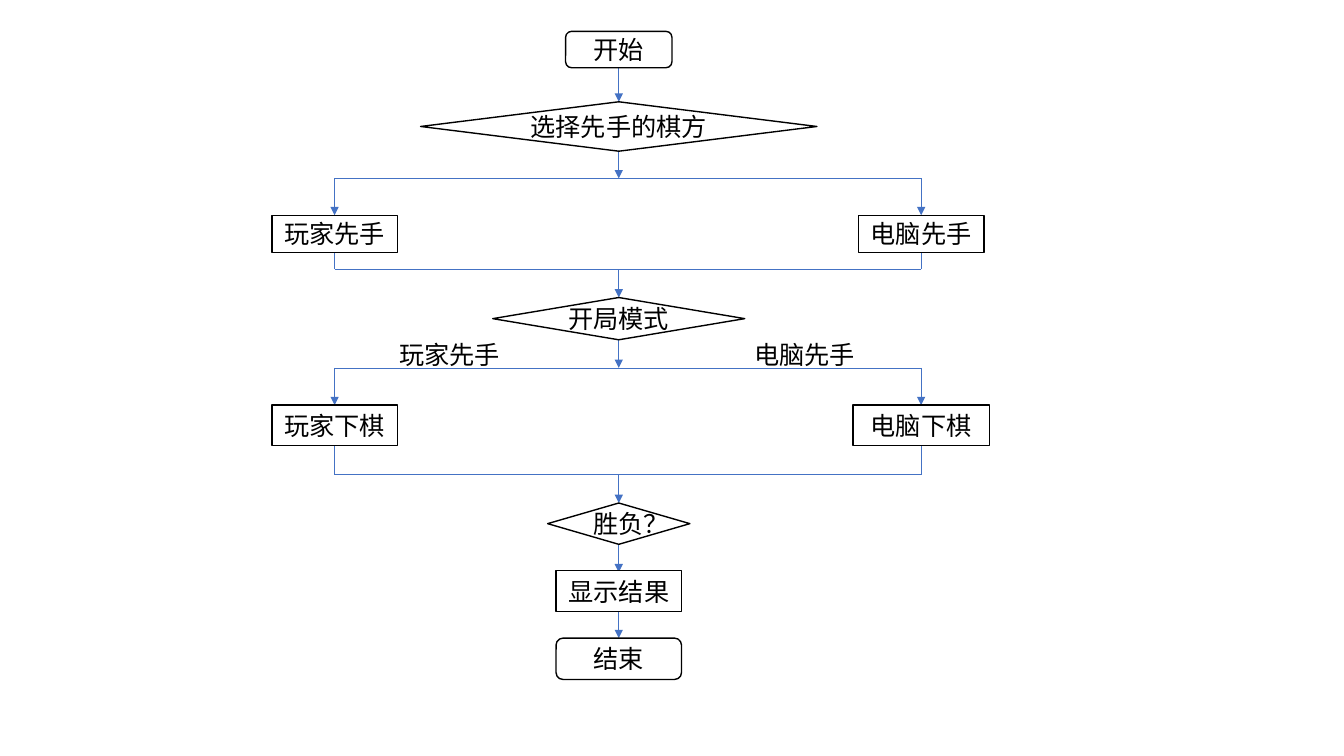
from dataclasses import dataclass

from lxml import etree
from pptx import Presentation
from pptx.dml.color import RGBColor
from pptx.enum.shapes import MSO_CONNECTOR, MSO_SHAPE
from pptx.enum.text import MSO_ANCHOR, MSO_AUTO_SIZE, PP_ALIGN
from pptx.oxml.ns import qn
from pptx.util import Pt

TERMINAL = MSO_SHAPE.ROUNDED_RECTANGLE
DECISION = MSO_SHAPE.FLOWCHART_DECISION
STEP = MSO_SHAPE.RECTANGLE
STRAIGHT = MSO_CONNECTOR.STRAIGHT
MIDDLE = MSO_ANCHOR.MIDDLE
CENTER = PP_ALIGN.CENTER
GROW = MSO_AUTO_SIZE.SHAPE_TO_FIT_TEXT


@dataclass(frozen=True)
class Theme:
    ink = RGBColor(0, 0, 0)
    paper = RGBColor(255, 255, 255)
    flow = RGBColor(0x44, 0x72, 0xC4)
    font = "Noto Sans CJK SC"
    size = Pt(18)
    outline = Pt(1)
    flow_width = Pt(0.5)


def write(frame, text):
    run = frame.paragraphs[0].add_run()
    run.text = text
    for name, value in {"name": Theme.font, "size": Theme.size}.items():
        setattr(run.font, name, value)
    run.font.color.rgb = Theme.ink
    east_asian = etree.SubElement(run.font._element, qn("a:ea"))
    east_asian.set("typeface", Theme.font)


def connect(x1, y1, x2, y2, arrow=False):
    flow = slide.shapes.add_connector(STRAIGHT, Pt(x1), Pt(y1), Pt(x2), Pt(y2))
    flow.line.color.rgb = Theme.flow
    flow.line.width = Theme.flow_width
    if arrow:
        etree.SubElement(flow.line._get_or_add_ln(), qn("a:tailEnd")).set("type", "triangle")
    etree.SubElement(flow._element.spPr, qn("a:effectLst"))


deck = Presentation()
deck.slide_width, deck.slide_height = Pt(960), Pt(540)
slide = deck.slides.add_slide(deck.slide_layouts[6])

# Columns of the chart
PLAYER, MAIN, COMPUTER = 239, 442, 658

# Arrows down the main column: start, end
for start, end in [(48.5, 72.7), (108, 127.5), (192.3, 212.5), (242.7, 262.8),
                   (339.1, 359.3), (388.8, 408.8), (437, 455.8)]:
    connect(MAIN, start, MAIN, end, arrow=True)

# Splits into both branches: bar, top of the steps
for bar, step_top in [(127.5, 153.8), (262.8, 289.4)]:
    connect(PLAYER, bar, COMPUTER, bar)
    for branch in (PLAYER, COMPUTER):
        connect(branch, bar, branch, step_top, arrow=True)

# Merges of both branches: bottom of the steps, bar
for step_bottom, bar in [(180.3, 192.3), (318.2, 339.1)]:
    connect(PLAYER, bar, COMPUTER, bar)
    for branch in (PLAYER, COMPUTER):
        connect(branch, step_bottom, branch, bar)

# Nodes: text, kind, centre, top, width, height
nodes = [
    ("开始", TERMINAL, MAIN, 22.4, 76, 26),
    ("选择先手的棋方", DECISION, MAIN, 72.7, 283, 35.3),
    ("玩家先手", STEP, PLAYER, 153.8, 89.6, 26.5),
    ("电脑先手", STEP, COMPUTER, 153.8, 89.6, 26.5),
    ("开局模式", DECISION, MAIN, 212.5, 180, 30.2),
    ("玩家下棋", STEP, PLAYER, 289.4, 89.6, 28.8),
    ("电脑下棋", STEP, COMPUTER, 289.4, 97.5, 28.8),
    ("胜负？", DECISION, MAIN, 359.3, 101.6, 29.5),
    ("显示结果", STEP, MAIN, 407.5, 89.6, 29.5),
    ("结束", TERMINAL, MAIN, 455.8, 89.6, 29.5),
]
for text, kind, centre, top, width, height in nodes:
    node = slide.shapes.add_shape(kind, Pt(centre - width / 2), Pt(top), Pt(width), Pt(height))
    node.shadow.inherit = False
    node.fill.solid()
    node.fill.fore_color.rgb = Theme.paper
    node.line.color.rgb = Theme.ink
    node.line.width = Theme.outline
    node.text_frame.word_wrap = True
    node.text_frame.vertical_anchor = MIDDLE
    node.text_frame.paragraphs[0].alignment = CENTER
    write(node.text_frame, text)

# Branch labels of the opening mode
for text, left in [("玩家先手", 278.2), ("电脑先手", 531.7)]:
    label = slide.shapes.add_textbox(Pt(left), Pt(238.5), Pt(87), Pt(29))
    label.text_frame.word_wrap = False
    label.text_frame.auto_size = GROW
    write(label.text_frame, text)

deck.save("out.pptx")
